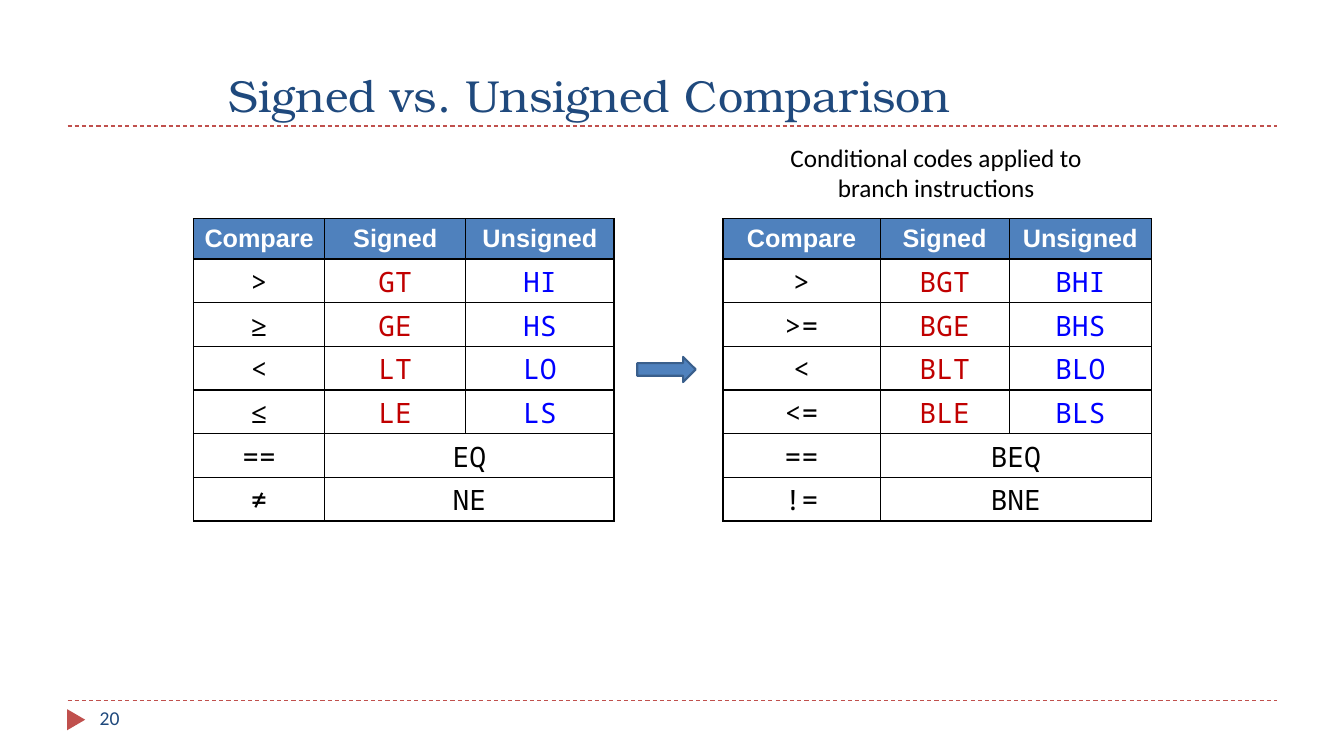
from dataclasses import dataclass

from lxml import etree
from pptx import Presentation
from pptx.dml.color import RGBColor
from pptx.enum.dml import MSO_LINE
from pptx.enum.shapes import MSO_CONNECTOR, MSO_SHAPE
from pptx.enum.text import MSO_ANCHOR, PP_ALIGN
from pptx.oxml.ns import qn
from pptx.util import Inches, Pt


@dataclass(frozen=True)
class Theme:
    navy: str = "1F497D"
    accent: str = "C0504D"
    blue: str = "4F81BD"
    arrow_line: str = "3A5F8C"
    black: str = "000000"
    white: str = "FFFFFF"
    signed: str = "C00000"
    unsigned: str = "0000FF"
    title_font: str = "TeX Gyre Bonum"
    body_font: str = "Calibri"
    header_font: str = "Arial"
    code_font: str = "Noto Sans Mono"
    title_size: int = 32
    code_size: int = 20
    body_size: int = 18
    number_size: int = 14


THEME = Theme()
HEADER = ("Compare", "Signed", "Unsigned")
CONDITION_ROWS = [
    (">", "GT", "HI"),
    ("≥", "GE", "HS"),
    ("<", "LT", "LO"),
    ("≤", "LE", "LS"),
    ("==", "EQ"),
    ("≠", "NE"),
]
BRANCH_ROWS = [
    (">", "BGT", "BHI"),
    (">=", "BGE", "BHS"),
    ("<", "BLT", "BLO"),
    ("<=", "BLE", "BLS"),
    ("==", "BEQ"),
    ("!=", "BNE"),
]


def color(value):
    return RGBColor.from_string(value)


def write(frame, text, font, size, text_color, align=PP_ALIGN.LEFT, bold=False):
    paragraph = frame.paragraphs[0]
    paragraph.alignment = align
    run = paragraph.add_run()
    run.text = text
    run.font.name = font
    run.font.size = Pt(size)
    run.font.bold = bold
    run.font.color.rgb = color(text_color)


def add_text(slide, box, text, font, size, text_color,
             align=PP_ALIGN.LEFT, anchor=MSO_ANCHOR.TOP):
    frame = slide.shapes.add_textbox(*map(Inches, box)).text_frame
    frame.word_wrap = True
    frame.vertical_anchor = anchor
    write(frame, text, font, size, text_color, align)


def add_filled_shape(slide, kind, box, fill):
    shape = slide.shapes.add_shape(kind, *map(Inches, box))
    shape.shadow.inherit = False
    shape.fill.solid()
    shape.fill.fore_color.rgb = color(fill)
    shape.line.fill.background()
    return shape


def add_rule(slide, left, top, width):
    rule = slide.shapes.add_connector(
        MSO_CONNECTOR.STRAIGHT,
        *map(Inches, (left, top, left + width, top)))
    rule.line.color.rgb = color(THEME.accent)
    rule.line.width = Pt(0.75)
    rule.line.dash_style = MSO_LINE.DASH
    etree.SubElement(rule._element.spPr, qn("a:effectLst"))


def add_title(slide, left, top, width, height):
    add_rule(slide, left, top + height, width)
    add_text(slide, (left + 1.5, top, 8.5, height), "Signed vs. Unsigned Comparison",
             THEME.title_font, THEME.title_size, THEME.navy, anchor=MSO_ANCHOR.BOTTOM)


def add_footer(slide, left, top, width, height):
    add_rule(slide, left, top, width)
    marker = add_filled_shape(slide, MSO_SHAPE.ISOSCELES_TRIANGLE,
                              (left - 0.02, top + 0.1, 0.21, 0.18), THEME.accent)
    marker.rotation = 90
    add_text(slide, (left + 0.22, top, 2.89, height), "20",
             THEME.body_font, THEME.number_size, THEME.navy)


def add_borders(cell):
    properties = cell._tc.get_or_add_tcPr()
    for position, side in enumerate(("a:lnL", "a:lnR", "a:lnT", "a:lnB")):
        line = etree.Element(qn(side), w=str(Pt(1)))
        fill = etree.SubElement(line, qn("a:solidFill"))
        etree.SubElement(fill, qn("a:srgbClr"), val=THEME.black)
        properties.insert(position, line)


def style_cell(cell, is_header):
    cell.vertical_anchor = MSO_ANCHOR.MIDDLE if is_header else MSO_ANCHOR.BOTTOM
    cell.margin_top = cell.margin_bottom = Inches(0.02)
    cell.margin_left = cell.margin_right = Inches(0.05)
    if is_header:
        cell.fill.solid()
        cell.fill.fore_color.rgb = color(THEME.blue)
    else:
        cell.fill.background()
    add_borders(cell)


def add_comparison_table(slide, left, top, height, widths, body_rows):
    rows = [HEADER, *body_rows]
    header_height = 0.4
    body_height = (height - header_height) / len(body_rows)
    table = slide.shapes.add_table(
        len(rows), len(widths),
        *map(Inches, (left, top, sum(widths), height))).table
    table.horz_banding = False
    for column, width in zip(table.columns, widths):
        column.width = Inches(width)
    for row_index, texts in enumerate(rows):
        is_header = row_index == 0
        table.rows[row_index].height = Inches(header_height if is_header else body_height)
        for column_index in range(len(widths)):
            style_cell(table.cell(row_index, column_index), is_header)
        if len(texts) < len(widths):
            table.cell(row_index, 1).merge(table.cell(row_index, 2))
            colors = (THEME.black, THEME.black)
        else:
            colors = (THEME.black, THEME.signed, THEME.unsigned)
        for column_index, (text, text_color) in enumerate(zip(texts, colors)):
            frame = table.cell(row_index, column_index).text_frame
            if is_header:
                write(frame, text, THEME.header_font, THEME.body_size,
                      THEME.white, PP_ALIGN.CENTER, True)
            else:
                write(frame, text, THEME.code_font, THEME.code_size,
                      text_color, PP_ALIGN.CENTER)


def add_comparison(slide, left, top, height):
    add_text(slide, (left + 5.51, top - 0.81, 3.71, 0.71),
             "Conditional codes applied to branch instructions",
             THEME.body_font, THEME.body_size, THEME.black, PP_ALIGN.CENTER)
    arrow = add_filled_shape(slide, MSO_SHAPE.RIGHT_ARROW,
                             (left + 4.4, top + 1.37, 0.58, 0.25), THEME.blue)
    arrow.line.color.rgb = color(THEME.arrow_line)
    arrow.line.width = Pt(1.5)
    add_comparison_table(slide, left + 5.25, top, height, (1.56, 1.28, 1.41), BRANCH_ROWS)
    add_comparison_table(slide, left, top, height, (1.3, 1.4, 1.47), CONDITION_ROWS)


def main():
    presentation = Presentation()
    presentation.slide_width = Inches(13.33)
    presentation.slide_height = Inches(7.5)
    slide = presentation.slides.add_slide(presentation.slide_layouts[6])
    add_title(slide, 0.67, 0, 12, 1.25)
    add_comparison(slide, 1.92, 2.17, 3)
    add_footer(slide, 0.67, 6.95, 12, 0.4)
    presentation.save("out.pptx")


if __name__ == "__main__":
    main()
